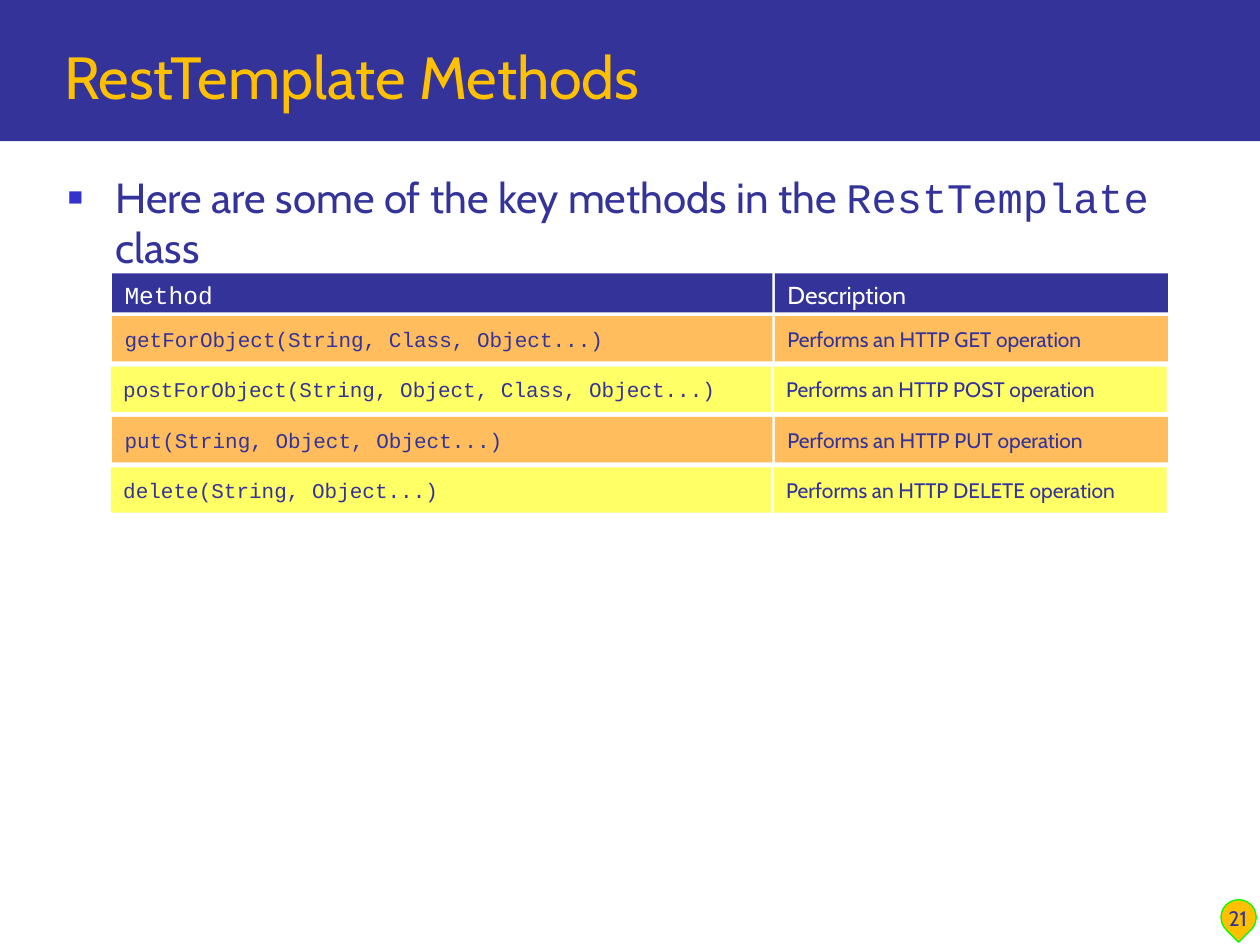
from lxml.etree import SubElement
from pptx import Presentation
from pptx.dml.color import RGBColor
from pptx.enum.shapes import MSO_SHAPE
from pptx.enum.text import MSO_ANCHOR, PP_ALIGN
from pptx.oxml.ns import qn
from pptx.util import Inches, Pt

NAVY, GOLD, WHITE = "333399", "FFC000", "FFFFFF"
ORANGE, YELLOW = "FFBD5D", "FFFF66"
SANS, MONO = "Cabin", "Courier New"


def color(value):
    """Turn a hex string into a colour."""
    return RGBColor.from_string(value)


class SlideBuilder:
    """Hold the current slide and its text style."""

    def __init__(self, slide, ink=NAVY):
        """Remember the slide and the default text colour."""
        self.slide = slide
        self.ink = ink

    def style(self, font, size, name=SANS, ink=None):
        """Set the size, typeface and colour of a font."""
        font.size = Pt(size)
        font.name = name
        font.color.rgb = color(ink or self.ink)

    def shape(self, kind, left, top, width, height, fill, line=None):
        """Add a filled preset shape."""
        shape = self.slide.shapes.add_shape(
            kind, Inches(left), Inches(top), Inches(width), Inches(height))
        shape.shadow.inherit = False
        shape.fill.solid()
        shape.fill.fore_color.rgb = color(fill)
        if line:
            shape.line.color.rgb = color(line)
            shape.line.width = Pt(0.75)
        else:
            shape.line.fill.background()
        return shape

    def text(self, left, top, width, height, text, size, ink=None,
             anchor=MSO_ANCHOR.BOTTOM, align=PP_ALIGN.LEFT):
        """Add a wrapped text box and return its paragraph."""
        box = self.slide.shapes.add_textbox(
            Inches(left), Inches(top), Inches(width), Inches(height))
        box.text_frame.word_wrap = True
        box.text_frame.vertical_anchor = anchor
        paragraph = box.text_frame.paragraphs[0]
        paragraph.text = text
        paragraph.alignment = align
        self.style(paragraph.font, size, ink=ink)
        return paragraph

    def bullet(self, left, top, width, height, parts, size):
        """Add a square-bulleted paragraph made of text and typeface pairs."""
        paragraph = self.text(left, top, width, height, "", size,
                              anchor=MSO_ANCHOR.TOP)
        for text, name in parts:
            run = paragraph.add_run()
            run.text = text
            self.style(run.font, size, name)
        properties = paragraph._p.get_or_add_pPr()
        properties.set("marL", str(Inches(0.38)))
        properties.set("indent", str(-Inches(0.38)))
        marks = [("a:buClr", {}), ("a:buSzPct", {"val": "60000"}),
                 ("a:buFont", {"typeface": "Arial"}), ("a:buChar", {"char": "■"})]
        elements = [SubElement(properties, qn(tag), values) for tag, values in marks]
        SubElement(elements[0], qn("a:srgbClr"), val="3333CC")
        for element in reversed(elements):
            properties.insert(0, element)

    def cell(self, left, top, width, height, fill, text, size, name, ink, anchor):
        """Add one labelled cell of the method grid."""
        shape = self.shape(MSO_SHAPE.RECTANGLE, left, top, width, height, fill)
        shape.text_frame.vertical_anchor = anchor
        paragraph = shape.text_frame.paragraphs[0]
        paragraph.text = text
        paragraph.alignment = PP_ALIGN.LEFT
        self.style(paragraph.font, size, name, ink)

    def row(self, top, height, fill, texts, size, ink=NAVY,
            anchor=MSO_ANCHOR.MIDDLE, shift=0):
        """Add a method cell and a description cell side by side."""
        columns = [(0.89, 5.24, MONO), (6.15, 3.12, SANS)]
        for (left, width, name), text in zip(columns, texts):
            self.cell(left - shift, top, width, height, fill, text, size, name,
                      ink, anchor)


def main():
    """Build and save the slide."""
    presentation = Presentation()
    presentation.slide_width, presentation.slide_height = Inches(10), Inches(7.5)
    slide = presentation.slides.add_slide(presentation.slide_layouts[6])
    builder = SlideBuilder(slide)

    builder.shape(MSO_SHAPE.RECTANGLE, 0, 0, 10, 1.12, NAVY)
    badge = builder.shape(MSO_SHAPE.TEAR, 9.69, 7.14, 0.28, 0.28, GOLD, "00FF00")
    badge.rotation = 135
    builder.bullet(0.44, 1.31, 9.28, 5.4, [
        ("Here are some of the key methods in the ", SANS),
        ("RestTemplate", MONO),
        (" class", SANS),
    ], 24)
    builder.text(0.41, 0.17, 9.35, 0.76, "RestTemplate Methods", 34, GOLD)
    builder.text(9.54, 6.94, 0.57, 0.5, "21", 12, align=PP_ALIGN.CENTER)

    builder.row(2.17, 0.31, NAVY, ("Method", "Description"), 14, WHITE,
                MSO_ANCHOR.TOP)
    methods = [
        ("getForObject(String, Class, Object...)", "GET"),
        ("postForObject(String, Object, Class, Object...)", "POST"),
        ("put(String, Object, Object...)", "PUT"),
        ("delete(String, Object...)", "DELETE"),
    ]
    for index, (method, verb) in enumerate(methods):
        odd = index % 2
        builder.row(2.51 + 0.4 * index, 0.36, YELLOW if odd else ORANGE,
                    (method, f"Performs an HTTP {verb} operation"), 12,
                    shift=0.01 * odd)

    presentation.save("out.pptx")


if __name__ == "__main__":
    main()
